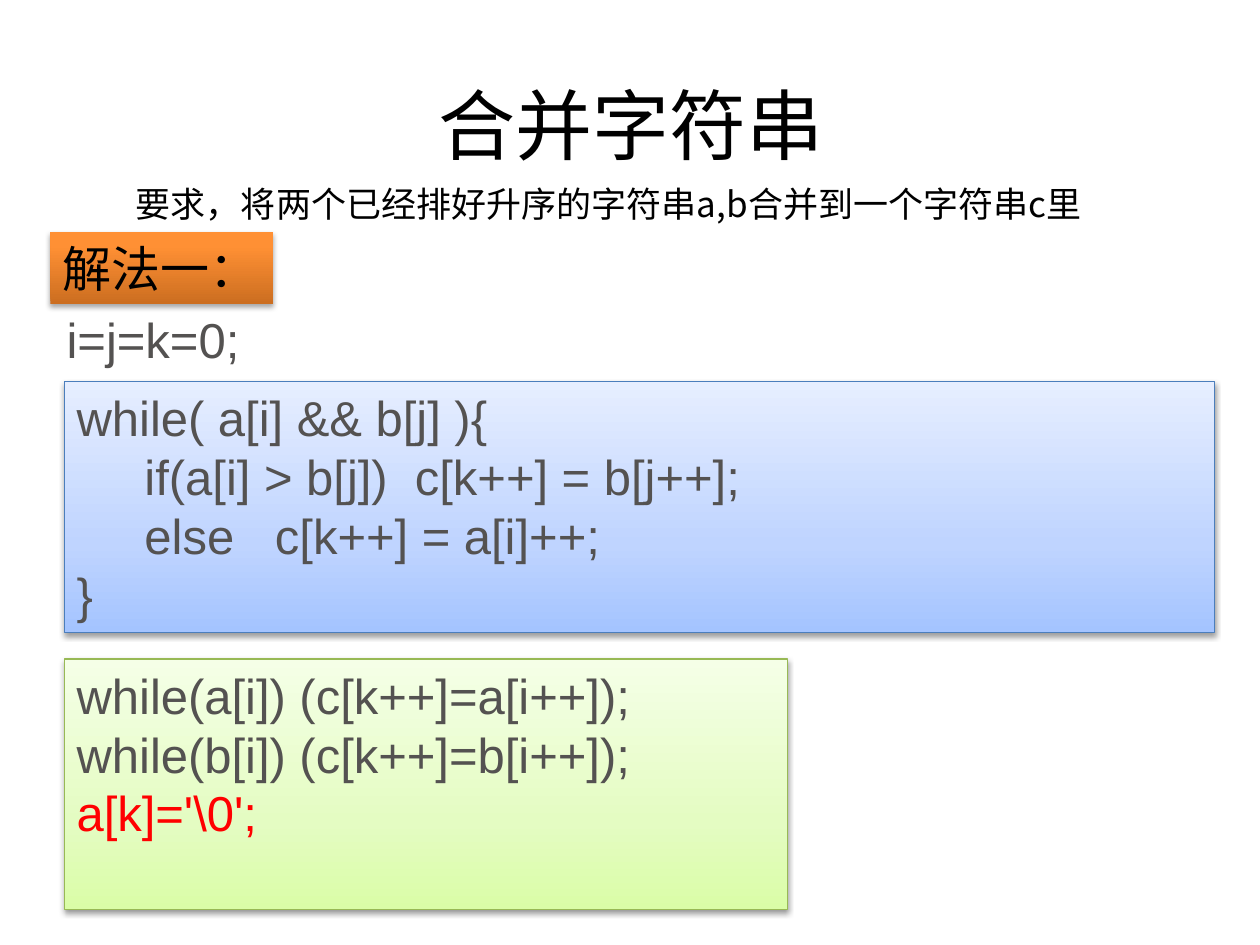
from lxml import etree
from pptx import Presentation
from pptx.dml.color import RGBColor
from pptx.enum import shapes, text
from pptx.oxml.ns import qn
from pptx.util import Inches, Pt

GREY, BLACK, RED = "545251", "000000", "FF0000"


def paint(color, value):
    color.rgb = RGBColor.from_string(value)


def add_node(parent, tag, **attrs):
    return etree.SubElement(parent, qn(tag), {k: str(v) for k, v in attrs.items()})


def add_run(para, words, size, face, color):
    run = para.add_run()
    run.text = words
    run.font.size = Pt(size)
    run.font.name = face
    paint(run.font.color, color)
    add_node(run.font._element, "a:ea", typeface=face)


def write(shape, lines, size=28, face="Arial", wrap=True):
    """Fill a shape with (words, colour) lines."""
    frame = shape.text_frame
    frame.word_wrap = wrap
    frame.auto_size = text.MSO_AUTO_SIZE.NONE
    frame.vertical_anchor = text.MSO_ANCHOR.TOP
    for i, (words, color) in enumerate(lines):
        para = frame.add_paragraph() if i else frame.paragraphs[0]
        para.alignment = text.PP_ALIGN.LEFT
        add_run(para, words, size, face, color)


def shade(shape, stops):
    """Blend (percent, colour) stops from bottom to top."""
    shape.fill.gradient()
    shape.fill.gradient_angle = 90
    stop_list = shape._element.spPr.find(".//" + qn("a:gsLst"))
    for old in list(stop_list):
        stop_list.remove(old)
    for percent, color in stops:
        stop = add_node(stop_list, "a:gs", pos=percent * 1000)
        add_node(stop, "a:srgbClr", val=color)


def cast(shape, alpha, dist):
    """Drop a soft black shadow straight down."""
    shape.shadow.inherit = False
    effects = shape._element.spPr.find(qn("a:effectLst"))
    outer = add_node(effects, "a:outerShdw", blurRad=Pt(3.1), dist=Pt(dist),
                     dir=5400000, rotWithShape=0)
    color = add_node(outer, "a:srgbClr", val=BLACK)
    add_node(color, "a:alpha", val=alpha * 1000)


def add_title(slide, words):
    title = slide.shapes.title
    title.left, title.top = Inches(0.51), Inches(0.36)
    title.width, title.height = Inches(9), Inches(1.25)
    frame = title.text_frame
    frame.vertical_anchor = text.MSO_ANCHOR.MIDDLE
    para = frame.paragraphs[0]
    para.alignment = text.PP_ALIGN.CENTER
    add_run(para, words, 44, "Courier New", BLACK)


def add_note(slide, box, lines, **style):
    note = slide.shapes.add_textbox(*map(Inches, box))
    write(note, lines, **style)


def add_panel(slide, box, stops, lines, edge=None, alpha=38, dist=1.6, **style):
    panel = slide.shapes.add_shape(shapes.MSO_SHAPE.RECTANGLE, *map(Inches, box))
    shade(panel, stops)
    if edge:
        paint(panel.line.color, edge)
        panel.line.width = Pt(0.75)
    else:
        panel.line.fill.background()
    cast(panel, alpha, dist)
    write(panel, lines, **style)


def main():
    deck = Presentation()
    deck.slide_width, deck.slide_height = Inches(10), Inches(7.5)
    slide = deck.slides.add_slide(deck.slide_layouts[5])

    add_title(slide, "合并字符串")
    add_note(slide, (0.98, 1.4, 8.06, 0.44),
             [("要求，将两个已经排好升序的字符串a,b合并到一个字符串c里", BLACK)],
             size=20, face="Noto Sans CJK SC", wrap=False)
    add_panel(slide, (0.51, 3.03, 9.13, 1.99),
              [(0, "A4C4FF"), (35, "BFD4FF"), (100, "E6EEFF")],
              [("while( a[i] && b[j] ){", GREY),
               ("     if(a[i] > b[j])  c[k++] = b[j++];", GREY),
               ("     else   c[k++] = a[i]++;", GREY),
               ("}", GREY)],
              edge="4B7EBC")
    add_panel(slide, (0.51, 5.23, 5.74, 1.99),
              [(0, "DAFDA7"), (35, "E4FCC2"), (100, "F5FFE7")],
              [("while(a[i]) (c[k++]=a[i++]);", GREY),
               ("while(b[i]) (c[k++]=b[i++]);", GREY),
               ("a[k]='\\0';", RED)],
              edge="98B955")
    add_note(slide, (0.43, 2.41, 1.59, 1.04), [("i=j=k=0;", GREY)])
    add_panel(slide, (0.4, 1.84, 1.77, 0.57),
              [(0, "CC6E20"), (80, "FF9034"), (100, "FF9136")],
              [("解法一：", BLACK)],
              alpha=35, dist=1.8, face="Courier New", wrap=False)

    deck.save("out.pptx")


if __name__ == "__main__":
    main()
